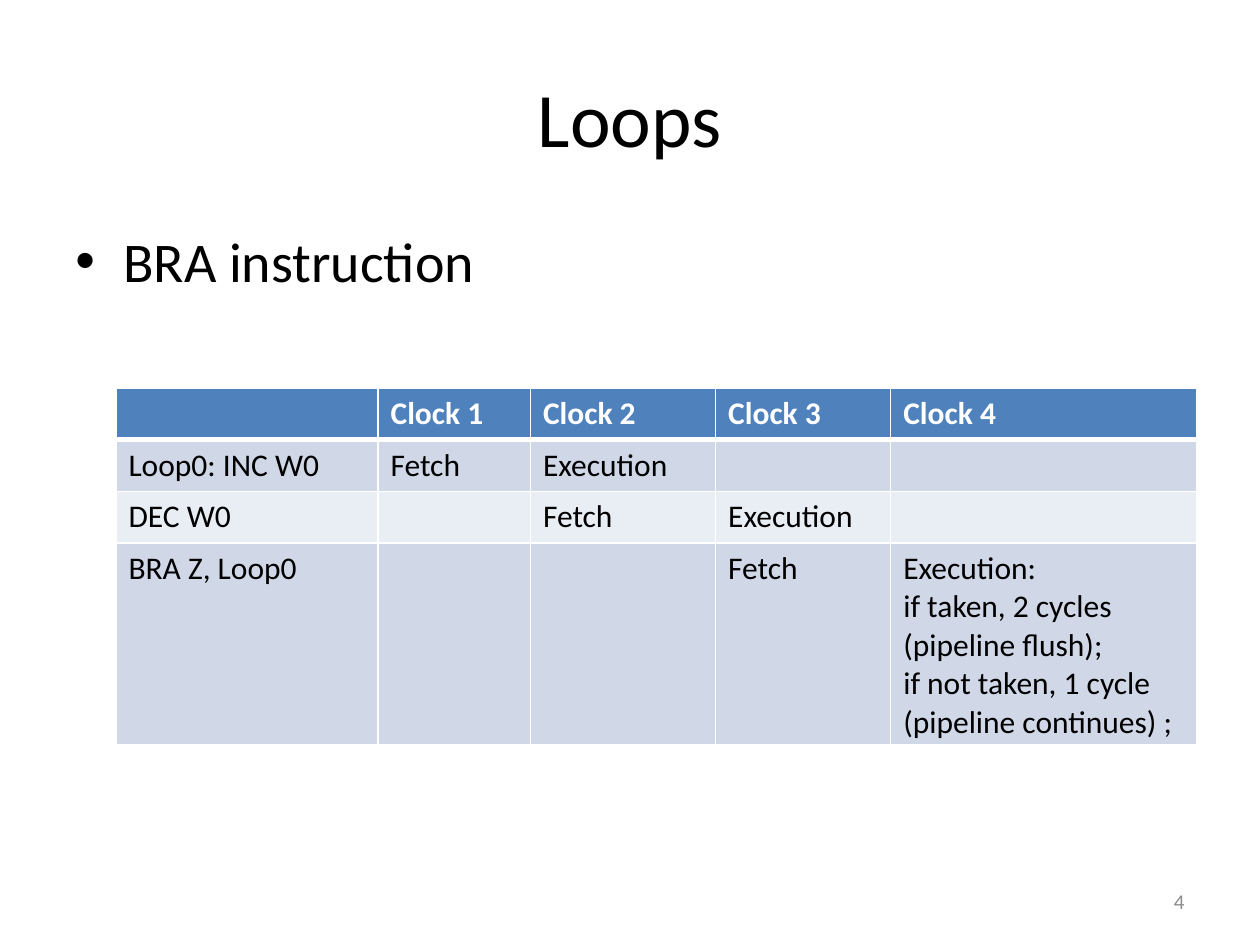
from dataclasses import dataclass

from lxml.etree import SubElement
from pptx import Presentation
from pptx.dml.color import RGBColor as Rgb
from pptx.enum.text import MSO_ANCHOR as Anchor, PP_ALIGN as Align
from pptx.oxml.ns import qn
from pptx.util import Inches, Pt


@dataclass(frozen=True)
class Theme:
    font: str = "Calibri"
    ink: str = "000000"
    paper: str = "FFFFFF"
    muted: str = "8C8C8C"
    header: str = "4F81BD"
    bands: tuple = ("E9EDF4", "D0D8E8")
    title: int = 44
    body: int = 32
    cell: int = 18
    footer: int = 12


theme = Theme()


def style(paragraph, size, color, bold=False):
    looks = {"name": theme.font, "size": Pt(size), "bold": bold}
    for key, value in looks.items():
        setattr(paragraph.font, key, value)
    paragraph.font.color.rgb = Rgb.from_string(color)


def write(words, box, size, color, align, anchor):
    frame = slide.shapes.add_textbox(*map(Inches, box)).text_frame
    frame.word_wrap = True
    frame.vertical_anchor = anchor
    line = frame.paragraphs[0]
    line.text = words
    line.alignment = align
    style(line, size, color)
    return line


deck = Presentation()
width, height = 10, 7.5
deck.slide_width, deck.slide_height = Inches(width), Inches(height)
slide = deck.slides.add_slide(deck.slide_layouts[6])

margin = 0.05 * width
content = width - 2 * margin
write("Loops", (margin, 0.04 * height, content, 1.25),
      theme.title, theme.ink, Align.CENTER, Anchor.MIDDLE)
topic = write("BRA instruction", (margin, 1.75, content, 0.66 * height),
              theme.body, theme.ink, Align.LEFT, Anchor.TOP)
write("4", (width - margin - 2.33, 6.95, 2.33, 0.4),
      theme.footer, theme.muted, Align.RIGHT, Anchor.MIDDLE)

topic.space_before = Pt(0.2 * theme.body)
indent = topic._p.get_or_add_pPr()
indent.set("marL", str(Inches(0.38)))
indent.set("indent", str(-Inches(0.38)))
SubElement(indent, qn("a:buFont"), typeface="Arial")
SubElement(indent, qn("a:buChar"), char="•")

outcome = ("Execution:\vif taken, 2 cycles (pipeline flush);"
           "\vif not taken, 1 cycle (pipeline continues) ;")
pipeline = [
    ["", "Clock 1", "Clock 2", "Clock 3", "Clock 4"],
    ["Loop0: INC W0", "Fetch", "Execution", "", ""],
    ["DEC W0", "", "Fetch", "Execution", ""],
    ["BRA Z, Loop0", "", "", "Fetch", outcome],
]
columns = [2.08, 1.21, 1.47, 1.39, 2.43]
rows = [0.41, 0.41, 0.41, 1.59]
timing = slide.shapes.add_table(
    len(rows), len(columns),
    *map(Inches, (0.92, 3.08, sum(columns), sum(rows)))).table
for tracks, key, lengths in ((timing.columns, "width", columns),
                             (timing.rows, "height", rows)):
    for track, length in zip(tracks, lengths):
        setattr(track, key, Inches(length))

for r, steps in enumerate(pipeline):
    is_header = r == 0
    for c, step in enumerate(steps):
        cell = timing.cell(r, c)
        cell.text = step
        for line in cell.text_frame.paragraphs:
            style(line, theme.cell, theme.paper if is_header else theme.ink, is_header)
        borders = {"L": 1, "R": 1, "T": 3 if r == 1 else 1, "B": 3 if is_header else 1}
        for side, weight in borders.items():
            edge = SubElement(cell._tc.get_or_add_tcPr(), qn(f"a:ln{side}"), w=str(Pt(weight)))
            SubElement(SubElement(edge, qn("a:solidFill")), qn("a:srgbClr"), val=theme.paper)
        cell.fill.solid()
        cell.fill.fore_color.rgb = Rgb.from_string(
            theme.header if is_header else theme.bands[r % 2])

deck.save("out.pptx")
